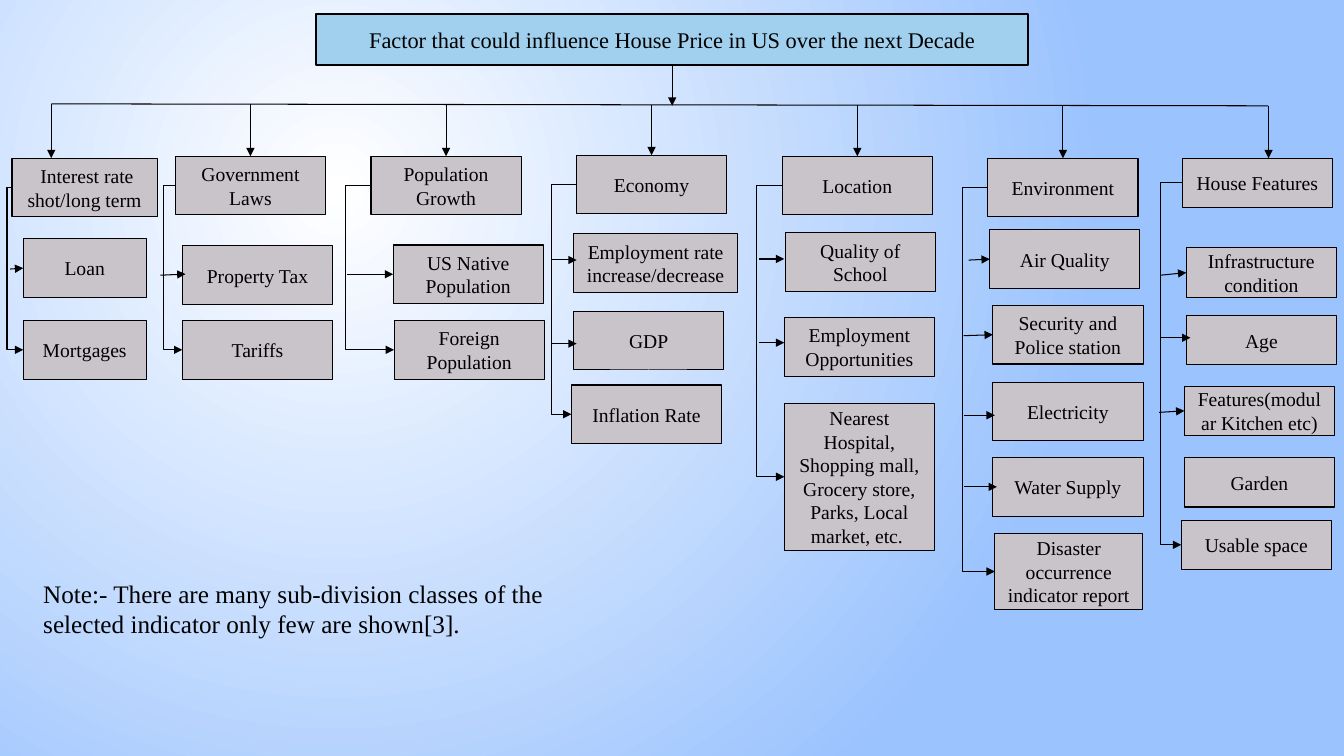
import pptx
import pptx.util
import pptx.dml.color
import pptx.enum.shapes
import pptx.enum.text
import pptx.oxml
from pptx.oxml.ns import qn
from collections import namedtuple

Pt = pptx.util.Pt
RGB = pptx.dml.color.RGBColor
CONN = pptx.enum.shapes.MSO_CONNECTOR
TOP, LEFT, BOTTOM = 0, 1, 2

BLACK = RGB(0, 0, 0)
WHITE = RGB(255, 255, 255)
SKY = RGB(0x9B, 0xC3, 0xFE)
TITLE_BLUE = RGB(0xA0, 0xD0, 0xEE)
BOX_GREY = RGB(0xC9, 0xC3, 0xCA)
FONT = "Times New Roman"

Box = namedtuple("Box", "x y w h")
# dx is measured from the heading; tail and tip from the middle of the left side
Factor = namedtuple("Factor", "text dx y w h tail tip",
                    defaults=(107.3, 41.8, None, (0, 0)))
Column = namedtuple("Column", "heading box spine drop factors")

COLUMNS = [
    Column(" Interest rate\nshot/long term", Box(8.6, 113, 103.7, 41.8), 5, -23.8, [
        Factor("Loan", 8, 170.6, w=87.8, tail=(-9.4, 0.7)),
        Factor("Mortgages", 8, 229, w=87.8)]),
    Column("Government Laws", Box(125.3, 111.6, 107.3, 41.8), 116.6, 0, [
        Factor("Property Tax", 5, 175.7, tail=(-15.8, 0), tip=(2.2, -0.8)),
        Factor("Tariffs", 5, 229)]),
    Column("Population Growth", Box(265, 111.6, 107.3, 41.8), 247, 0, [
        Factor("US Native Population", 15.8, 175, tail=(-33, 0)),
        Factor("Foreign Population", 16.5, 229)]),
    Column("Economy", Box(411.8, 110.9, 107.3, 41.8), 393.8, 0, [
        Factor("Employment rate increase/decrease", -2.1, 167, w=117.4,
               tail=(-15.9, -2.2), tip=(2.2, -2.2)),
        Factor("GDP", -2.1, 222.5, tail=(-15.9, 2.1), tip=(2.2, 2.1)),
        Factor("Inflation Rate", -3.6, 275)]),
    Column("Location", Box(558.7, 111.6, 107.3, 41.8), 540.7, 0, [
        Factor("Quality of School", 2.2, 166.3, tail=(-18.7, -2.2), tip=(-0.7, -2.2)),
        Factor("Employment Opportunities", 1.5, 226.8, tail=(-18, -2.9), tip=(0, -2.9)),
        Factor("Nearest Hospital, Shopping mall,\nGrocery store,\nParks, Local market, etc. ",
               1.5, 288, h=105.1)]),
    Column("Environment", Box(705.6, 113, 107.3, 41.8), 687.6, 0, [
        Factor("Air Quality", 1.4, 164.2, tail=(-15.1, 0.7)),
        Factor("Security and Police station", 3.6, 218.2, tail=(-20.9, 0.7)),
        Factor("Electricity", 3.6, 272.9, tail=(-20.9, 2.8), tip=(1.4, 2.8)),
        Factor("Water Supply", 3.6, 326.9, tail=(-20.9, 0), tip=(2.9, 0)),
        Factor("Disaster occurrence indicator report", 5, 380.9, w=105.8, h=54.7)]),
    Column("House Features", Box(844.5, 113, 107.3, 35.3), 829.4, 8, [
        Factor("Infrastructure condition", 2.9, 177.1, h=35.3, tail=(-18, 1.8)),
        Factor("Age", 2.9, 225.4, h=35.3, tail=(-18, -1.8), tip=(2.9, -1.8)),
        Factor("Features(modular Kitchen etc)", 1.5, 275.8, h=35.3, tail=(-18, 1.1)),
        Factor("Garden", 1.5, 326.9, h=35.3),
        Factor("Usable space", -0.7, 371.5, h=35.3)]),
]
BUS = (36.7, 74.2, 905.8, 75.6)


def write(tf, text, size, align=None):
    tf.word_wrap = True
    for i, line in enumerate(text.split("\n")):
        p = tf.paragraphs[0] if i == 0 else tf.add_paragraph()
        p.alignment = align
        r = p.add_run()
        r.text = line
        for key, value in {"name": FONT, "size": Pt(size)}.items():
            setattr(r.font, key, value)
        r.font.color.rgb = BLACK


def add_box(s, box, text, fill=BOX_GREY, size=14, weight=0.75):
    sp = s.shapes.add_shape(pptx.enum.shapes.MSO_SHAPE.RECTANGLE, *map(Pt, box))
    sp.shadow.inherit = False
    sp.fill.solid()
    sp.fill.fore_color.rgb = fill
    sp.line.color.rgb = BLACK
    sp.line.width = Pt(weight)
    sp.text_frame.vertical_anchor = pptx.enum.text.MSO_ANCHOR.MIDDLE
    write(sp.text_frame, text, size, pptx.enum.text.PP_ALIGN.CENTER)
    return sp


def add_line(s, ends, kind=CONN.STRAIGHT, arrow=True):
    c = s.shapes.add_connector(kind, *map(Pt, ends))
    c.line.color.rgb = BLACK
    c.line.width = Pt(0.75)
    if arrow:
        pptx.oxml.xmlchemy.OxmlElement
        head = c.line._get_or_add_ln().makeelement(qn("a:tailEnd"), {"type": "triangle"})
        c.line._get_or_add_ln().append(head)
    spPr = c._element.spPr
    spPr.append(spPr.makeelement(qn("a:effectLst"), {}))
    return c


def add_elbow(s, x1, y1, x2, y2, spine):
    c = add_line(s, (x1, y1, x2, y2), CONN.ELBOW)
    geom = c._element.spPr.find(qn("a:prstGeom"))
    av = geom.find(qn("a:avLst"))
    if av is None:
        av = geom.makeelement(qn("a:avLst"), {})
        geom.append(av)
    adj = round((spine - x1) / (x2 - x1) * 100000)
    av.append(av.makeelement(qn("a:gd"), {"name": "adj1", "fmla": f"val {adj}"}))


def add_background(s):
    fill = s.background.fill
    fill.gradient()
    for stop, color in zip(fill.gradient_stops, (WHITE, SKY)):
        stop.color.rgb = color
    grad = s.background._cSld.find(".//" + qn("a:gradFill"))
    circle = grad.makeelement(qn("a:path"), {"path": "circle"})
    focus = {"l": "50000", "t": "50000", "r": "100000", "b": "100000"}
    circle.append(circle.makeelement(qn("a:fillToRect"), focus))
    grad.replace(grad.find(qn("a:lin")), circle)


def add_title(s, box):
    sp = add_box(s, box, "Factor that could influence House Price in US over the next Decade",
                 TITLE_BLUE, 16, 1.25)
    mid = box.x + box.w / 2
    c = add_line(s, (mid, box.y + box.h, mid, BUS[3]))
    c.begin_connect(sp, BOTTOM)
    add_line(s, BUS, arrow=False)


def add_column(s, col):
    box = col.box
    heading = add_box(s, box, col.heading)
    x = box.x + box.w / 2 + col.drop
    bus_y = BUS[1] + (BUS[3] - BUS[1]) * (x - BUS[0]) / (BUS[2] - BUS[0])
    c = add_line(s, (x, bus_y, x, box.y))
    if not col.drop:
        c.end_connect(heading, TOP)
    for f in col.factors:
        left, mid = box.x + f.dx, f.y + f.h / 2
        sp = add_box(s, Box(left, f.y, f.w, f.h), f.text)
        if f.tail:
            c = add_line(s, (left + f.tail[0], mid + f.tail[1],
                             left + f.tip[0], mid + f.tip[1]))
            if f.tip == (0, 0):
                c.end_connect(sp, LEFT)
    add_elbow(s, box.x, box.y + box.h / 2, left, mid, col.spine)


def add_note(s, box):
    tb = s.shapes.add_textbox(*map(Pt, box))
    write(tb.text_frame, "Note:- There are many sub-division classes of the "
          "selected indicator only few are shown[3].", 18)


def main():
    prs = pptx.Presentation()
    prs.slide_width, prs.slide_height = Pt(960), Pt(540)
    s = prs.slides.add_slide(prs.slide_layouts[6])
    add_background(s)
    add_title(s, Box(226, 10, 508.3, 36.7))
    for col in COLUMNS:
        add_column(s, col)
    add_note(s, Box(23.8, 409.7, 427.7, 51.1))
    prs.save("out.pptx")


if __name__ == "__main__":
    main()
